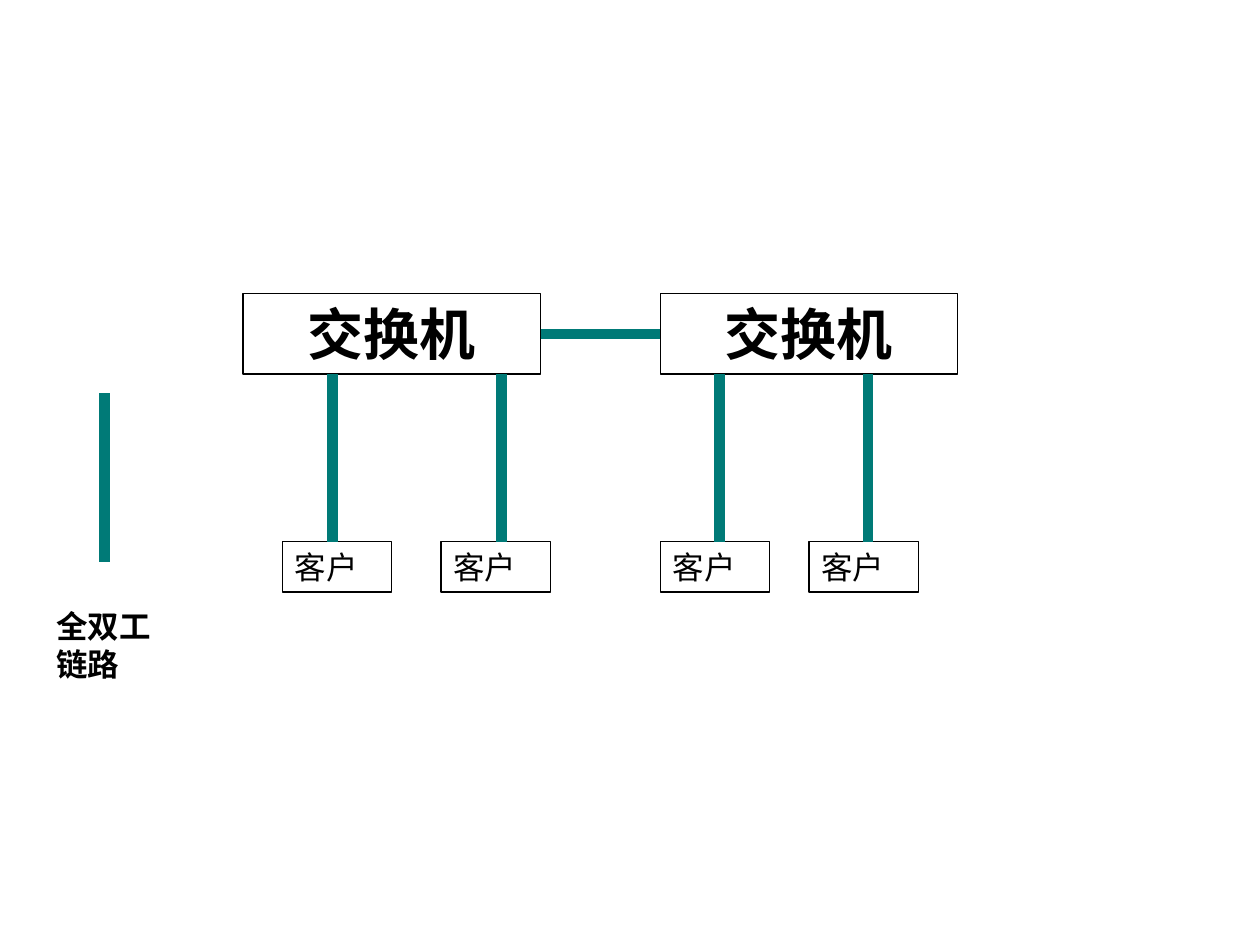
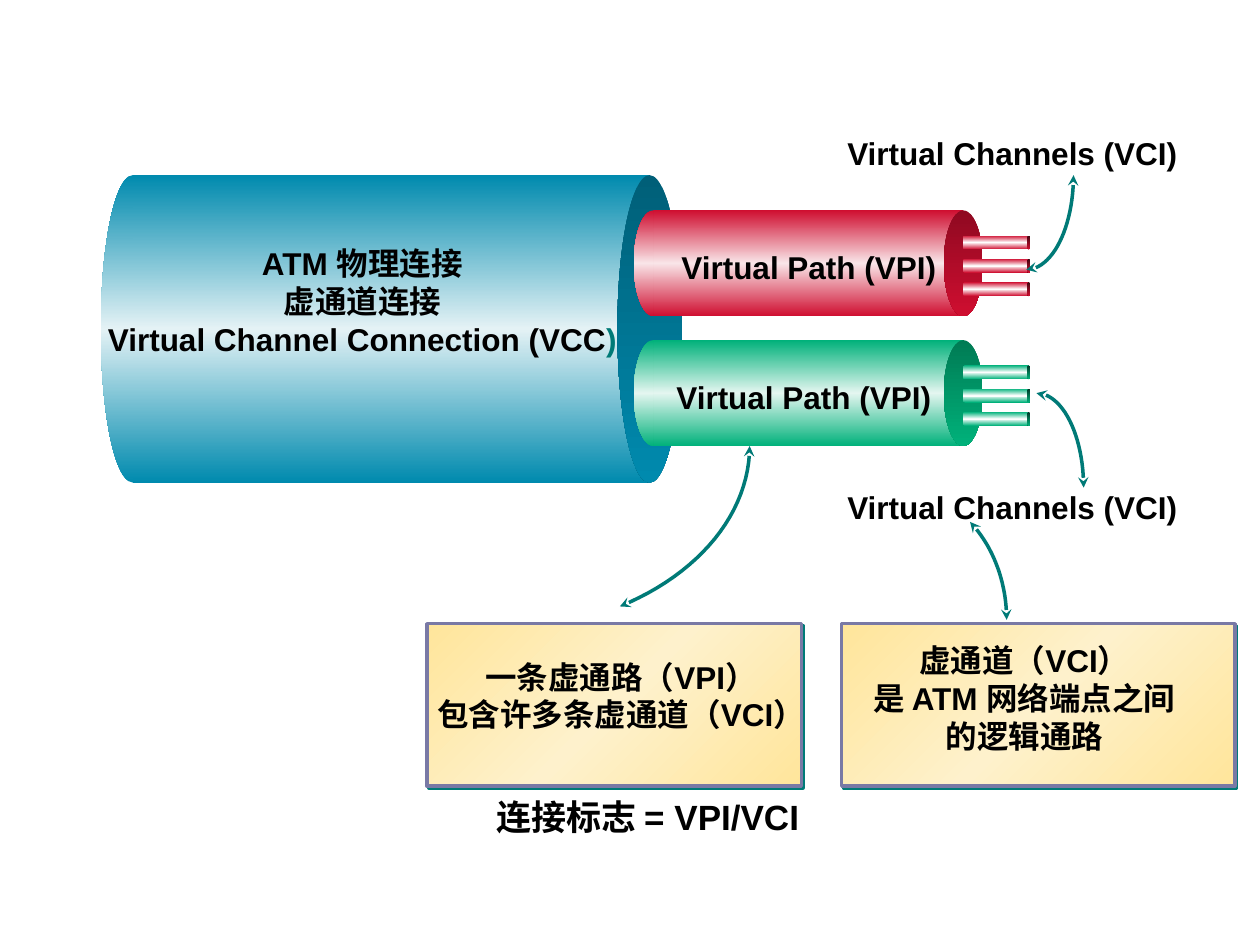
"""Two network slides: switched full-duplex links, and ATM virtual paths and channels."""
from math import cos, radians, sin

from lxml.etree import SubElement
from pptx import Presentation
from pptx.dml.color import RGBColor
from pptx.enum.shapes import MSO_CONNECTOR, MSO_SHAPE
from pptx.enum.text import MSO_ANCHOR, PP_ALIGN
from pptx.oxml.ns import qn
from pptx.util import Inches, Pt

FONT = "Arial"
C = {
    "ink": "000000", "teal": "007A77", "pale": "FEFEFE",
    "card": "FFE59B", "card_mid": "FEF1CC", "card_line": "7979A5",
    "blue": "008AAE", "blue_mid": "E4F2F5", "blue_dark": "005F78",
    "red": "CF0E30", "red_mid": "F9E5E8", "red_dark": "8F0921", "red_tip": "3D040E",
    "green": "00B17A", "green_mid": "E4F6F0", "green_dark": "007B54", "green_tip": "003424",
}

SWITCH_Y, SWITCH_W, SWITCH_H = 2.33, 2.36, 0.64
CLIENT_Y, CLIENT_W, CLIENT_H = 4.3, 0.87, 0.4
SWITCHES = [
    {"x": 1.93, "clients": [(2.24, 2.64), (3.5, 3.98)]},
    {"x": 5.24, "clients": [(5.24, 5.71), (6.42, 6.89)]},
]
LEGEND = "全双工链路"

CABLE = (0.8, 1.39, 4.61, 2.44, 0.51)
PATHS = [("red", 1.67), ("green", 2.7)]
WIRE_STEP = 0.185
CARDS = [(3.39, 4.95, 2.97, 1.29), (6.68, 4.95, 3.12, 1.29)]
LABELS = [
    ((0.74, 1.88, 4.27, 1.02), 18, [
        [("ATM 物理连接", "ink")],
        [("虚通道连接", "ink")],
        [("Virtual Channel Connection (VCC", "ink"), (")", "teal")],
    ]),
    ((3.3, 5.16, 3.26, 0.72), 18, [
        [("一条虚通路（VPI）", "ink")],
        [("包含许多条虚通道（VCI）", "ink")],
    ]),
    ((6.75, 5.03, 2.76, 1.02), 18, [
        [("虚通道（VCI）", "ink")],
        [("是 ATM 网络端点之间", "ink")],
        [("的逻辑通路", "ink")],
    ]),
    ((6.61, 3.81, 2.85, 0.42), 18, [[("Virtual Channels (VCI)", "ink")]]),
    ((6.61, 1.0, 2.85, 0.42), 18, [[("Virtual Channels (VCI)", "ink")]]),
    ((5.16, 2.94, 2.44, 0.42), 18, [[("Virtual Path (VPI)", "ink")]]),
    ((5.24, 1.91, 2.36, 0.42), 18, [[("Virtual Path (VPI)", "ink")]]),
    ((3.72, 6.25, 2.84, 0.45), 20, [[("连接标志 = VPI/VCI", "ink")]]),
]
ARCS = [
    ((1.83, 2.07, 4.12, 2.94), 0, 60),
    ((6.3, 3.89, 1.69, 2.06), -49, 0),
    ((7.85, 3.12, 0.75, 1.5), -90, 0),
    ((7.77, 0.64, 0.75, 1.5), 0, 90),
]


def rgb(name):
    return RGBColor.from_string(C[name])


def put_text(sp, lines, size, bold=True, align=PP_ALIGN.CENTER, inset=(0.11, 0.06), wrap=True):
    tf = sp.text_frame
    tf.word_wrap = wrap
    tf.vertical_anchor = MSO_ANCHOR.TOP
    tf.margin_left = tf.margin_right = Inches(inset[0])
    tf.margin_top = tf.margin_bottom = Inches(inset[1])
    for i, line in enumerate(lines):
        p = tf.add_paragraph() if i else tf.paragraphs[0]
        p.alignment = align
        for text, color in line:
            r = p.add_run()
            r.text = text
            r.font.name, r.font.size, r.font.bold = FONT, Pt(size), bold
            r.font.color.rgb = rgb(color)


def add_shape(parent, kind, box, line=None, width=0.75):
    sp = parent.shapes.add_shape(kind, *map(Inches, box))
    sp.shadow.inherit = False
    sp.fill.background()
    if line:
        sp.line.color.rgb = rgb(line)
        sp.line.width = Pt(width)
    else:
        sp.line.fill.background()
    return sp


def add_gradient(sp, names, angle):
    sp.fill.gradient()
    grad = sp._element.spPr.find(qn("a:gradFill"))
    for child in list(grad):
        grad.remove(child)
    stops = SubElement(grad, qn("a:gsLst"))
    for i, name in enumerate(names):
        gs = SubElement(stops, qn("a:gs"), pos=str(100000 * i // (len(names) - 1)))
        SubElement(gs, qn("a:srgbClr"), val=C[name])
    SubElement(grad, qn("a:lin"), ang=str(angle * 60000), scaled="0")


def add_link(s, x1, y1, x2, y2):
    ln = s.shapes.add_connector(MSO_CONNECTOR.STRAIGHT, *map(Inches, (x1, y1, x2, y2)))
    ln.line.color.rgb = rgb("teal")
    ln.line.width = Pt(6)
    SubElement(ln._element.spPr, qn("a:effectLst"))


def add_tube(group, x, y, w, h, cap, side, end):
    body = (x + cap / 2, y, w - cap, h)
    for kind, box, names in [
        (MSO_SHAPE.OVAL, (x, y, cap, h), side),
        (MSO_SHAPE.RECTANGLE, body, side),
        (MSO_SHAPE.OVAL, (x + w - cap, y, cap, h), end),
    ]:
        add_gradient(add_shape(group, kind, box), names, 90)


def add_card(s, box):
    sp = add_shape(s, MSO_SHAPE.RECTANGLE, box, "card_line", 2)
    add_gradient(sp, ["card", "card_mid", "card"], 225)
    effects = sp._element.spPr.find(qn("a:effectLst"))
    shadow = SubElement(effects, qn("a:outerShdw"), blurRad="0", dist=str(Pt(1.4)),
                        dir=str(45 * 60000), algn="ctr", rotWithShape="0")
    SubElement(shadow, qn("a:srgbClr"), val=C["teal"])


def add_arc(s, box, start, end, steps=24):
    x, y, w, h = box
    angles = [radians(start + (end - start) * i / steps) for i in range(steps + 1)]
    points = [(Inches(x + w / 2 * (1 + cos(a))), Inches(y + h / 2 * (1 + sin(a)))) for a in angles]
    builder = s.shapes.build_freeform(*points[0])
    builder.add_line_segments(points[1:], close=False)
    sp = builder.convert_to_shape()
    sp.shadow.inherit = False
    sp.fill.background()
    sp.line.color.rgb = rgb("teal")
    sp.line.width = Pt(2)
    ln = sp.line._get_or_add_ln()
    for tag in ("a:headEnd", "a:tailEnd"):
        SubElement(ln, qn(tag), type="stealth")


def build_switches(s):
    inset = (0.1, 0.05)
    bottom = SWITCH_Y + SWITCH_H
    for switch in SWITCHES:
        sp = add_shape(s, MSO_SHAPE.RECTANGLE, (switch["x"], SWITCH_Y, SWITCH_W, SWITCH_H), "ink")
        put_text(sp, [[("交换机", "ink")]], 32, inset=inset)
        for x, link_x in switch["clients"]:
            sp = add_shape(s, MSO_SHAPE.RECTANGLE, (x, CLIENT_Y, CLIENT_W, CLIENT_H), "ink")
            put_text(sp, [[("客户", "ink")]], 18, False, PP_ALIGN.LEFT, inset)
            add_link(s, link_x, bottom, link_x, CLIENT_Y)
    left, right = (switch["x"] for switch in SWITCHES)
    middle = SWITCH_Y + SWITCH_H / 2
    add_link(s, left + SWITCH_W, middle, right, middle)
    add_link(s, 0.83, 3.12, 0.83, 4.46)
    tb = s.shapes.add_textbox(*map(Inches, (0.35, 4.77, 1.1, 0.7)))
    put_text(tb, [[(LEGEND, "ink")]], 18, align=PP_ALIGN.LEFT, inset=inset)


def build_atm(s):
    add_tube(s.shapes.add_group_shape(), *CABLE, ["blue", "blue_mid", "blue"], ["blue_dark", "blue"])
    for hue, y in PATHS:
        group = s.shapes.add_group_shape()
        add_tube(group, 5.03, y, 2.77, 0.84, 0.31, [hue, hue + "_mid", hue], [hue + "_dark", hue])
        for i in range(3):
            add_tube(group, 7.64, y + 0.2 + i * WIRE_STEP, 0.54, 0.11, 0.03,
                     [hue, "pale", hue], [hue + "_tip", hue])
    for box in CARDS:
        add_card(s, box)
    for box, size, lines in LABELS:
        tb = s.shapes.add_textbox(*map(Inches, box))
        put_text(tb, lines, size, wrap=False)
    for arc in ARCS:
        add_arc(s, *arc)


def main():
    prs = Presentation()
    prs.slide_width, prs.slide_height = Inches(10), Inches(7.5)
    for build in (build_switches, build_atm):
        build(prs.slides.add_slide(prs.slide_layouts[6]))
    prs.save("out.pptx")


if __name__ == "__main__":
    main()
